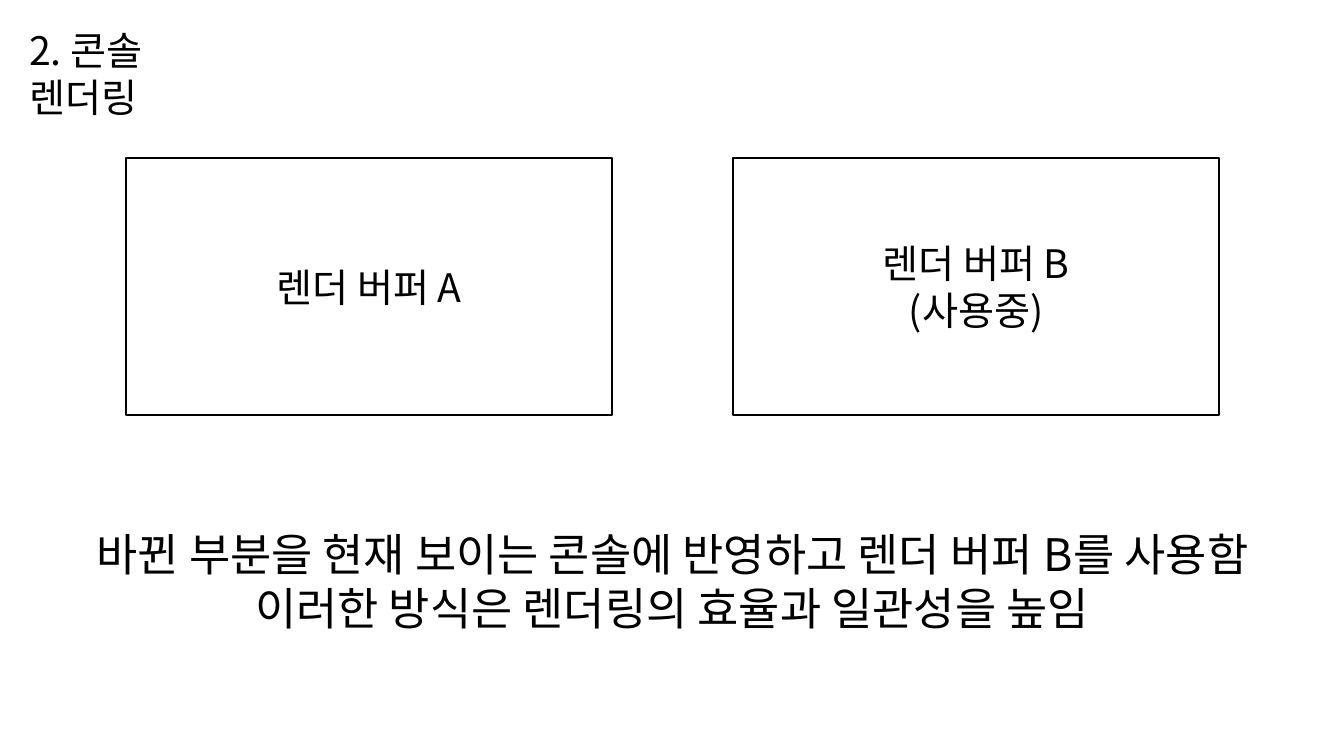
from pptx import Presentation
from pptx import util as u
from pptx.dml.color import RGBColor
from pptx.enum import shapes, text
from pptx.oxml.ns import qn
from lxml import etree


def colour(hex_code):
    return RGBColor.from_string(hex_code)


class SlideBuilder:
    FONT = "Noto Sans CJK KR"
    INK = "000000"
    PAPER = "FFFFFF"
    LEADING = 1.2

    def __init__(self, deck):
        self.width, self.height = deck.slide_width, deck.slide_height
        self.slide = deck.slides.add_slide(deck.slide_layouts[6])

    def area(self, left, top, width, height):
        return (round(left * self.width), round(top * self.height),
                round(width * self.width), round(height * self.height))

    def set_wording(self, frame, wording, size, align):
        frame.word_wrap = True
        frame.text = wording
        for paragraph in frame.paragraphs:
            paragraph.alignment = align
            paragraph.line_spacing = u.Pt(round(size * self.LEADING, 1))
            for run in paragraph.runs:
                run.font.name = self.FONT
                run.font.size = u.Pt(size)
                run.font.color.rgb = colour(self.INK)
                east_asian = etree.SubElement(run._r.get_or_add_rPr(), qn("a:ea"))
                east_asian.set("typeface", self.FONT)

    def label(self, wording, area, size, align):
        box = self.slide.shapes.add_textbox(*self.area(*area))
        self.set_wording(box.text_frame, wording, size, align)

    def buffer(self, wording, area, size):
        box = self.slide.shapes.add_shape(
            shapes.MSO_SHAPE.RECTANGLE, *self.area(*area))
        box.shadow.inherit = False
        box.fill.solid()
        box.fill.fore_color.rgb = colour(self.PAPER)
        box.line.color.rgb = colour(self.INK)
        box.line.width = u.Pt(1.5)
        box.text_frame.vertical_anchor = text.MSO_ANCHOR.MIDDLE
        self.set_wording(box.text_frame, wording, size, text.PP_ALIGN.CENTER)


def main():
    deck = Presentation()
    deck.slide_width, deck.slide_height = u.Inches(13.33), u.Inches(7.5)
    page = SlideBuilder(deck)

    page.label("2. 콘솔 렌더링", (0.19 / 13.33, 0.21 / 7.5, 2.42 / 13.33, 0.57 / 7.5),
               28, text.PP_ALIGN.LEFT)
    page.label("바뀐 부분을 현재 보이는 콘솔에 반영하고 렌더 버퍼 B를 사용함\n"
               "이러한 방식은 렌더링의 효율과 일관성을 높임",
               (0.82 / 13.33, 5.18 / 7.5, 11.7 / 13.33, 1.18 / 7.5),
               32, text.PP_ALIGN.CENTER)

    first_left, pitch = 1.25 / 13.33, 6.02 / 13.33
    for column, wording in enumerate(["렌더 버퍼 A", "렌더 버퍼 B\n(사용중)"]):
        page.buffer(wording, (first_left + column * pitch, 1.57 / 7.5,
                              4.82 / 13.33, 2.55 / 7.5), 28)

    deck.save("out.pptx")


if __name__ == "__main__":
    main()
